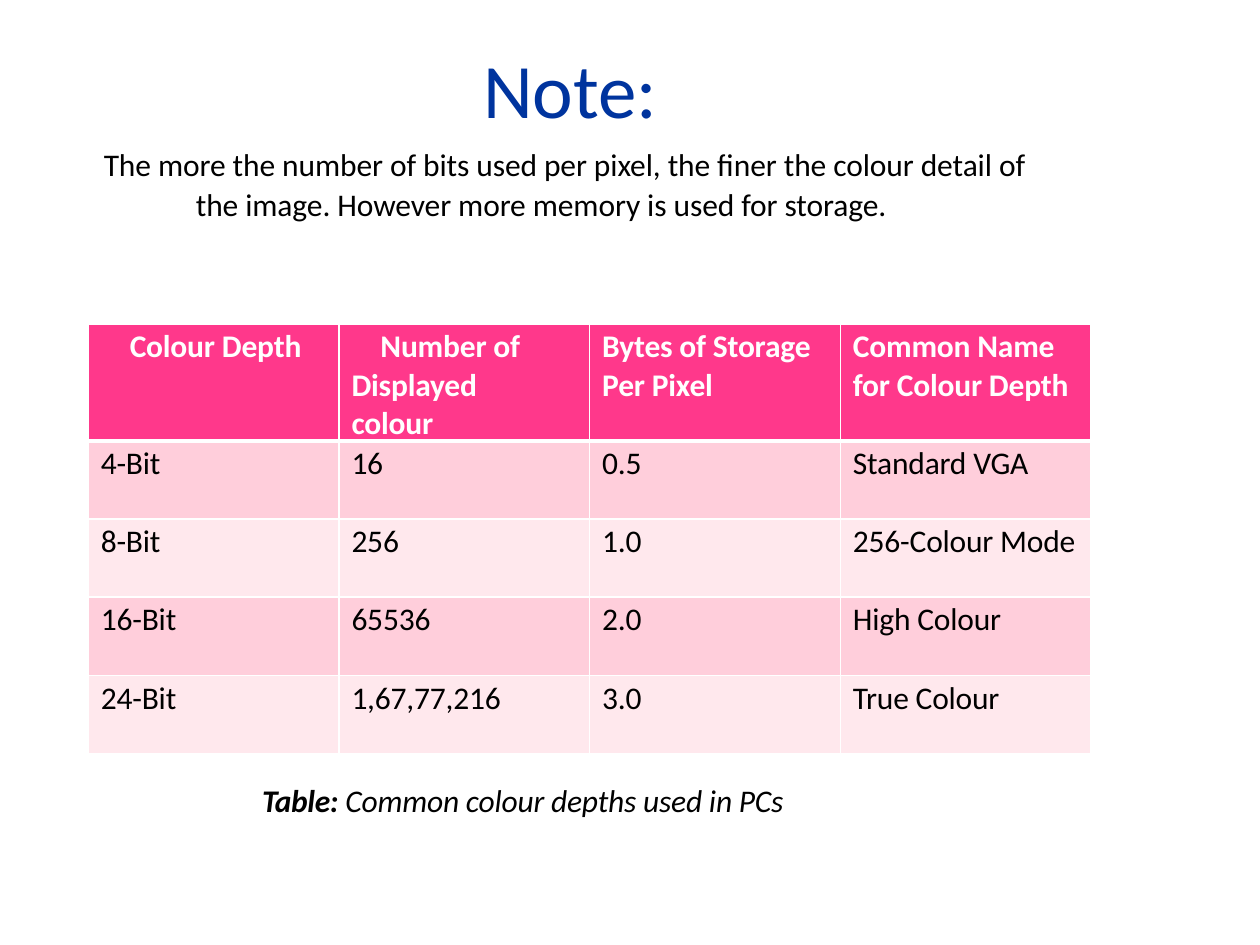
from lxml.etree import SubElement
from pptx import Presentation
from pptx.dml.color import RGBColor
from pptx.enum.text import MSO_ANCHOR as Anchor, MSO_AUTO_SIZE as AutoSize, PP_ALIGN as Align
from pptx.oxml.ns import qn
from pptx.util import Inches, Pt

COLORS = {
    "title": "00349E",
    "text": "000000",
    "white": "FFFFFF",
    "header": "FF388B",
    "odd": "FFCEDB",
    "even": "FFE8ED",
}

ROWS = [
    ["Colour Depth", "Number of Displayed colour",
     "Bytes of Storage Per Pixel", "Common Name for Colour Depth"],
    ["4-Bit", "16", "0.5", "Standard VGA"],
    ["8-Bit", "256", "1.0", "256-Colour Mode"],
    ["16-Bit", "65536", "2.0", "High Colour"],
    ["24-Bit", "1,67,77,216", "3.0", "True Colour"],
]
HEADER_INDENTS = [(0.33, 0, 0), (0.1, 0.23, 0.35), (0.1, 0, 0), (0.1, 0, 0)]


def add_text(paragraph, text, size=18, color="text", bold=False, italic=False, spacing=-0.1):
    run = paragraph.add_run()
    run.text = text
    font = run.font
    font.name = "Calibri"
    font.size = Pt(size)
    font.bold = bold
    font.italic = italic
    font.color.rgb = RGBColor.from_string(COLORS[color])
    font._element.set("spc", str(round(spacing * 100)))


class SlideBuilder:
    def __init__(self, presentation):
        self.slide = presentation.slides.add_slide(presentation.slide_layouts[5])

    def format_paragraph(self, paragraph, left=0.0, first=0.0, right=0.0, before=0.0, align=Align.LEFT):
        paragraph.alignment = align
        paragraph.space_before = Pt(before)
        properties = paragraph._p.get_or_add_pPr()
        for name, value in (("marL", left), ("indent", first), ("marR", right)):
            properties.set(name, str(Inches(value)))

    def format_frame(self, frame, top=0.0, bottom=0.0):
        frame.margin_left = frame.margin_right = 0
        frame.margin_top = Inches(top)
        frame.margin_bottom = Inches(bottom)
        frame.word_wrap = True
        frame.auto_size = AutoSize.SHAPE_TO_FIT_TEXT

    def title(self, heading, note, left, top, width, height):
        shape = self.slide.shapes.title
        shape.left, shape.top = Inches(left), Inches(top)
        shape.width, shape.height = Inches(width), Inches(height)
        frame = shape.text_frame
        self.format_frame(frame, top=0.12)
        frame.vertical_anchor = Anchor.MIDDLE
        paragraph = frame.paragraphs[0]
        self.format_paragraph(paragraph, left=0.47, before=9, align=Align.CENTER)
        add_text(paragraph, heading, size=44, color="title")
        paragraph = frame.add_paragraph()
        self.format_paragraph(paragraph, left=0.01, first=0.37, before=4.5, align=Align.CENTER)
        paragraph.line_spacing = 1.07
        add_text(paragraph, note, spacing=-0.05)

    def border(self, cell, side, width):
        line = SubElement(cell._tc.get_or_add_tcPr(), qn(f"a:ln{side}"), w=str(Pt(width)))
        fill = SubElement(line, qn("a:solidFill"))
        SubElement(fill, qn("a:srgbClr"), val=COLORS["white"])

    def cell(self, cell, text, row, column):
        header = row == 0
        cell.margin_left = cell.margin_right = cell.margin_bottom = 0
        cell.margin_top = Inches(0.03)
        for side in "LRTB":
            thick = (side == "B" and header) or (side == "T" and row == 1)
            self.border(cell, side, 3 if thick else 1)
        fill = "header" if header else "odd" if row % 2 else "even"
        cell.fill.solid()
        cell.fill.fore_color.rgb = RGBColor.from_string(COLORS[fill])
        left, first, right = HEADER_INDENTS[column] if header else (0.1, 0, 0)
        paragraph = cell.text_frame.paragraphs[0]
        self.format_paragraph(paragraph, left, first, right, before=2.5)
        add_text(paragraph, text, color="white" if header else "text", bold=header)

    def table(self, rows, left, top, column_width, header_height, row_height):
        columns = len(rows[0])
        height = header_height + row_height * (len(rows) - 1)
        table = self.slide.shapes.add_table(
            len(rows), columns, Inches(left), Inches(top),
            Inches(column_width * columns), Inches(height)).table
        for column in table.columns:
            column.width = Inches(column_width)
        for row, values in enumerate(rows):
            table.rows[row].height = Inches(row_height if row else header_height)
            for column, text in enumerate(values):
                self.cell(table.cell(row, column), text, row, column)

    def caption(self, label, text, left, top, width, height):
        box = self.slide.shapes.add_textbox(
            Inches(left), Inches(top), Inches(width), Inches(height))
        self.format_frame(box.text_frame, top=0.01)
        paragraph = box.text_frame.paragraphs[0]
        self.format_paragraph(paragraph, left=0.01, before=1)
        add_text(paragraph, label, bold=True, italic=True, spacing=-0.2)
        add_text(paragraph, text, italic=True)


def main():
    presentation = Presentation()
    presentation.slide_width = Inches(10)
    presentation.slide_height = Inches(7.5)
    builder = SlideBuilder(presentation)
    builder.title(
        "Note:",
        "The more the number of bits used per pixel, the finer the colour detail of "
        "the image. However more memory is used for storage.",
        0.4, 0.37, 7.78, 1.24)
    builder.table(ROWS, 0.7, 2.57, 1.99, 0.78, 0.62)
    builder.caption("Table: ", "Common colour depths used in PCs", 2.07, 6.19, 4.23, 0.33)
    presentation.save("out.pptx")


if __name__ == "__main__":
    main()
